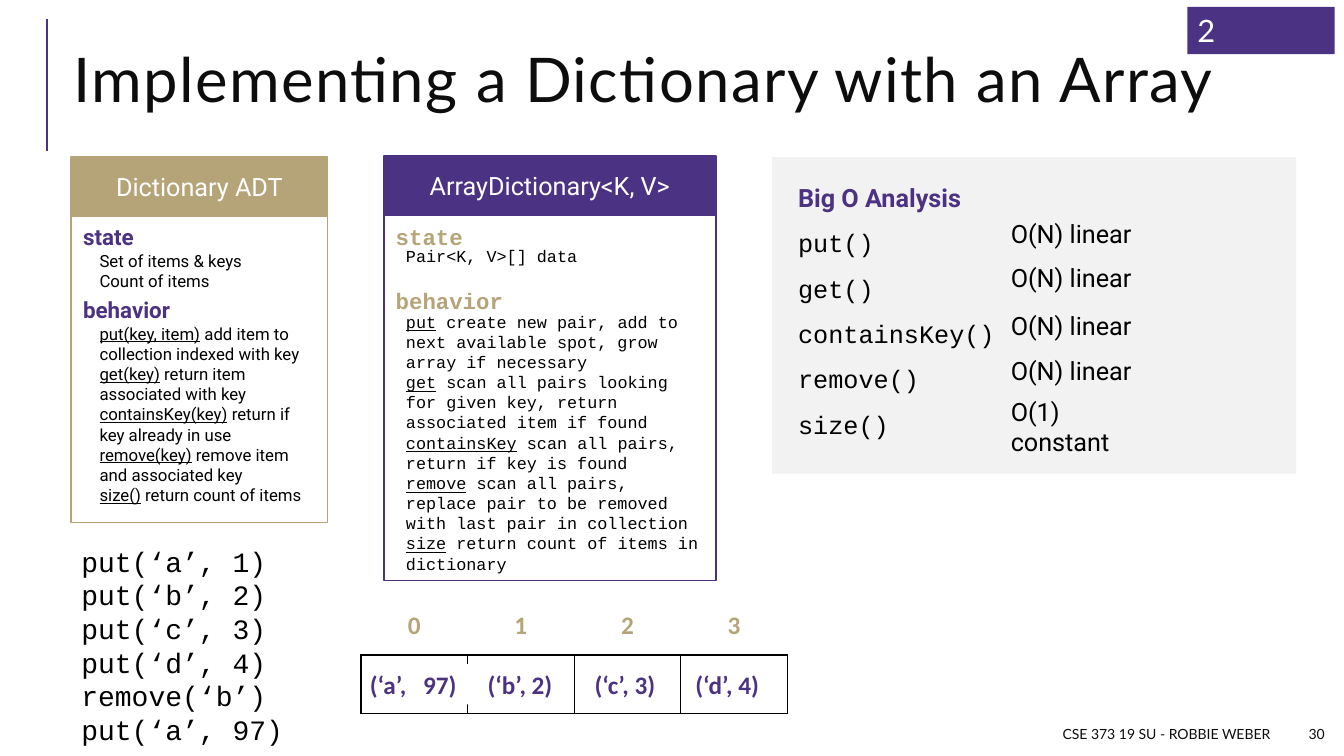
import pptx
import pptx.dml.color
import pptx.enum.shapes
import pptx.enum.text
import pptx.oxml
import pptx.oxml.ns
import pptx.util

Pt = pptx.util.Pt
ALIGN = pptx.enum.text.PP_ALIGN
ANCHOR = pptx.enum.text.MSO_ANCHOR
PURPLE, GOLD, BLACK, WHITE, INK = "4C3282", "B6A479", "000000", "FFFFFF", "0D0D0D"
MONO = "Courier New"


def color(value):
    return pptx.dml.color.RGBColor.from_string(value)


def style(paragraph, size, font, ink, bold=False, align=ALIGN.LEFT, spacing=None):
    paragraph.alignment = align
    if spacing:
        paragraph.line_spacing = spacing
    paragraph.font.size = Pt(size)
    paragraph.font.name = font
    paragraph.font.bold = bold
    paragraph.font.color.rgb = color(ink)


def fill_text(shape, lines, size, font, ink, bold=False, align=ALIGN.LEFT,
              anchor=ANCHOR.TOP, spacing=None):
    frame = shape.text_frame
    frame.word_wrap = True
    frame.vertical_anchor = anchor
    for index, line in enumerate(lines):
        paragraph = frame.add_paragraph() if index else frame.paragraphs[0]
        if isinstance(line, tuple):
            name, description = line
            run = paragraph.add_run()
            run.text = name
            run.font.underline = True
            paragraph.add_run().text = " " + description
        else:
            paragraph.add_run().text = line
        style(paragraph, size, font, ink, bold, align, spacing)
    return frame


def add_text(slide, box, lines, size, font, ink, **options):
    shape = slide.shapes.add_textbox(*map(Pt, box))
    return fill_text(shape, lines, size, font, ink, **options)


def add_rectangle(slide, box, fill=None, line=None):
    shape = slide.shapes.add_shape(
        pptx.enum.shapes.MSO_SHAPE.RECTANGLE, *map(Pt, box))
    shape.shadow.inherit = False
    if fill:
        shape.fill.solid()
        shape.fill.fore_color.rgb = color(fill)
    else:
        shape.fill.background()
    if line:
        shape.line.color.rgb = color(line)
        shape.line.width = Pt(1.25)
    else:
        shape.line.fill.background()
    return shape


def add_heading(slide):
    rule = slide.shapes.add_connector(
        pptx.enum.shapes.MSO_CONNECTOR.STRAIGHT, Pt(33.8), Pt(108), Pt(33.8), Pt(13.7))
    rule.line.color.rgb = color(PURPLE)
    rule.line.width = Pt(1.5)
    rule._element.spPr.append(pptx.oxml.parse_xml(
        f'<a:effectLst {pptx.oxml.ns.nsdecls("a")}/>'))
    title = add_text(slide, (45.4, 20.9, 880.6, 79.9),
                     ["Implementing a Dictionary with an Array"],
                     44, "Lato", INK, anchor=ANCHOR.MIDDLE, spacing=0.8)
    title.paragraphs[0].runs[0].font._element.set("spc", "100")


def add_card(slide, box, header_height, title, font, frame_color, label_color, indent,
             state, behavior, offsets):
    left, top, width, height = box
    add_rectangle(slide, (left, top + header_height, width, height - header_height),
                  line=frame_color)
    header = add_rectangle(slide, (left, top, width, header_height),
                           frame_color, frame_color)
    fill_text(header, [title], 18, "Roboto", WHITE, align=ALIGN.CENTER,
              anchor=ANCHOR.MIDDLE)
    sections = (("state", state), ("behavior", behavior))
    for (label, lines), (label_top, body_top) in zip(sections, offsets):
        add_text(slide, (left + 1.3, top + label_top, 160.6, 26.6), [label],
                 16, font, label_color, bold=True)
        add_text(slide, (left + indent, top + body_top, width - indent,
                         14.4 * len(lines) + 7.2), lines, 12, font, BLACK)


def add_analysis(slide, box):
    left, top, width, height = box
    add_rectangle(slide, box, "F2F2F2")
    operations = ["put()", "get()", "containsKey()", "remove()", "size()"]
    frame = add_text(slide, (left + 11.5, top + 14.4, 161.3, 190),
                     ["Big O Analysis"] + operations, 18, MONO, BLACK, spacing=1.5)
    style(frame.paragraphs[0], 18, "Roboto", PURPLE, bold=True, spacing=1.0)
    costs = ["O(N) linear"] * 4 + ["O(1) constant"]
    for cost, offset in zip(costs, (40.3, 71.3, 106, 138.2, 167)):
        add_text(slide, (left + 163.4, top + offset, 121, 28.8), [cost],
                 18, "Roboto", BLACK)


def set_borders(cell, colors):
    properties = cell._tc.get_or_add_tcPr()
    for position, (side, value) in enumerate(zip("LRTB", colors)):
        properties.insert(position, pptx.oxml.parse_xml(
            f'<a:ln{side} {pptx.oxml.ns.nsdecls("a")} w="12700"><a:solidFill>'
            f'<a:srgbClr val="{value}"/></a:solidFill></a:ln{side}>'))


def add_array(slide, box):
    left, top, width, height = box
    table = slide.shapes.add_table(2, 4, *map(Pt, box)).table
    table.first_row = table.horz_banding = False
    for column in range(4):
        for row in range(2):
            cell = table.cell(row, column)
            cell.fill.background()
            set_borders(cell, (BLACK,) * 4 if row else (WHITE, WHITE, WHITE, BLACK))
        index_cell = table.cell(0, column)
        index_cell.vertical_anchor = ANCHOR.MIDDLE
        paragraph = index_cell.text_frame.paragraphs[0]
        paragraph.add_run().text = str(column)
        style(paragraph, 18, "Calibri", GOLD, bold=True, align=ALIGN.CENTER)
    entries = (("(‘a’,", -0.7, 64, None), ("(‘b’, 2)", 83.5, 64, None),
               ("(‘c’, 3)", 159.8, 64, None), ("97)", 37.4, 39.6, WHITE),
               ("(‘d’, 4)", 231.8, 64, WHITE))
    for text, offset, entry_width, fill in entries:
        entry = add_rectangle(slide, (left + offset, top + 48.2, entry_width, 28.8), fill)
        fill_text(entry, [text], 18, "Calibri", PURPLE, bold=True)


def add_footer(slide):
    for text, left, width in (("CSE 373 19 SU - ROBBIE WEBER", 450, 464.4),
                              ("30", 920.2, 33.1)):
        add_text(slide, (left, 513.4, width, 21.6), [text], 10, "Lato", INK,
                 align=ALIGN.RIGHT, anchor=ANCHOR.MIDDLE)


def main():
    presentation = pptx.Presentation()
    presentation.slide_width, presentation.slide_height = Pt(960), Pt(540)
    slide = presentation.slides.add_slide(presentation.slide_layouts[6])
    add_heading(slide)
    add_card(slide, (274.3, 111.6, 237, 303), 41.8, "ArrayDictionary<K, V>", MONO,
             PURPLE, GOLD, 8.6, ["Pair<K, V>[] data"], [
                 ("put", "create new pair, add to next available spot, "
                         "grow array if necessary"),
                 ("get", "scan all pairs looking for given key, "
                         "return associated item if found"),
                 ("containsKey", "scan all pairs, return if key is found"),
                 ("remove", "scan all pairs, replace pair to be removed "
                            "with last pair in collection"),
                 ("size", "return count of items in dictionary"),
             ], ((44, 60.5), (90, 107.3)))
    add_analysis(slide, (551.5, 112.3, 374.4, 226))
    add_array(slide, (257.8, 426.2, 304.6, 83.5))
    add_text(slide, (51, 385.2, 183, 152.6),
             ["put(‘a’, 1)", "put(‘b’, 2)", "put(‘c’, 3)", "put(‘d’, 4)",
              "remove(‘b’)", "put(‘a’, 97)"], 20, MONO, BLACK)
    add_card(slide, (51, 112.3, 183, 261), 42, "Dictionary ADT", "Roboto",
             GOLD, PURPLE, 13, ["Set of items & keys", "Count of items"], [
                 ("put(key, item)", "add item to collection indexed with key"),
                 ("get(key)", "return item associated with key"),
                 ("containsKey(key)", "return if key already in use"),
                 ("remove(key)", "remove item and associated key"),
                 ("size()", "return count of items"),
             ], ((43.2, 63.4), (95.8, 115.2)))
    add_footer(slide)
    timer = add_rectangle(slide, (848.2, 5, 105.1, 33.8), PURPLE)
    fill_text(timer, ["2"], 22, "Lato", WHITE)
    presentation.save("out.pptx")


if __name__ == "__main__":
    main()
